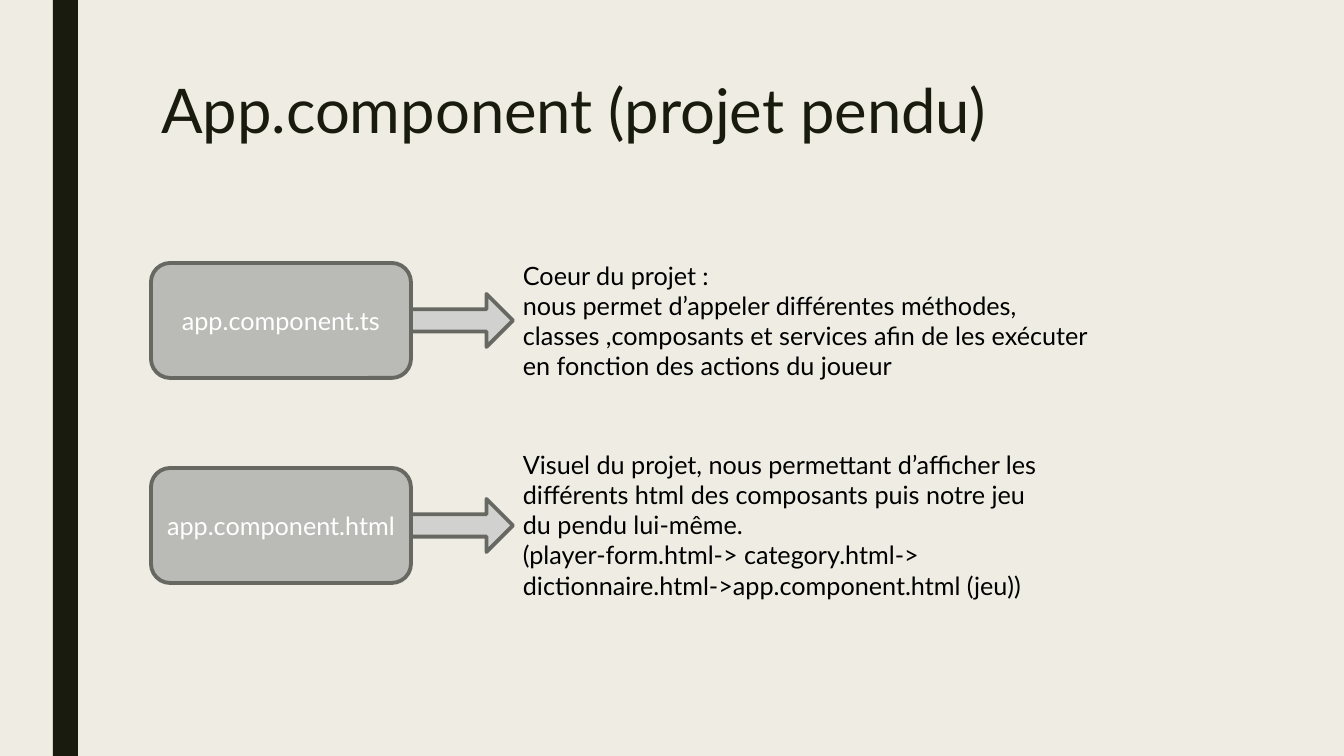
from pptx import Presentation
from pptx.dml.color import RGBColor
from pptx.enum.shapes import MSO_SHAPE
from pptx.enum.text import MSO_ANCHOR, MSO_AUTO_SIZE, PP_ALIGN
from pptx.util import Emu, Pt

FONT = "Lato"
COLORS = {
    "background": "EFEDE3",
    "dark": "191B0E",
    "box": "BABBB6",
    "arrow": "D1D1CF",
    "outline": "686863",
    "white": "FFFFFF",
    "black": "000000",
}
ROW_STEP = 205
# File name, then top, width, height and paragraphs of its description
ROWS = [
    ("app.component.ts", 255, 592, 132, [
        "Coeur du projet :\vnous permet d’appeler différentes méthodes, "
        "classes ,composants et services afin de les exécuter "
        "en fonction des actions du joueur",
    ]),
    ("app.component.html", 444, 556, 163, [
        "Visuel du projet, nous permettant d’afficher les différents html "
        "des composants puis notre jeu du pendu lui-même.",
        "(player-form.html-> category.html-> "
        "dictionnaire.html->app.component.html (jeu))",
    ]),
]


def px(n):
    return Emu(round(n * 914400 / 100.8))


def color(name):
    return RGBColor.from_string(COLORS[name])


def write(tf, paragraphs, size=18, fill="black", align=PP_ALIGN.LEFT,
          anchor=MSO_ANCHOR.TOP, wrap=True, spacing=None):
    tf.word_wrap = wrap
    tf.auto_size = MSO_AUTO_SIZE.NONE
    tf.vertical_anchor = anchor
    for i, text in enumerate(paragraphs):
        p = tf.add_paragraph() if i else tf.paragraphs[0]
        p.text = text
        p.alignment = align
        p.line_spacing = spacing
        for r in p.runs:
            r.font.name = FONT
            r.font.size = Pt(size)
            r.font.color.rgb = color(fill)


def add_block(s, kind, x, y, w, h, fill, line=None):
    sp = s.shapes.add_shape(kind, px(x), px(y), px(w), px(h))
    sp.shadow.inherit = False
    sp.fill.solid()
    sp.fill.fore_color.rgb = color(fill)
    if line:
        sp.line.color.rgb = color(line)
        sp.line.width = Pt(2.75)
    else:
        sp.line.fill.background()
    return sp


def add_title(s, text):
    sp = s.shapes.title
    sp.left, sp.top, sp.width, sp.height = px(151), px(76), px(1058), px(163)
    write(sp.text_frame, [text], size=44, fill="dark", spacing=0.89)


def add_file_box(s, y, name):
    sp = add_block(s, MSO_SHAPE.ROUNDED_RECTANGLE, 151, y, 260, 115,
                   "box", "outline")
    write(sp.text_frame, [name], fill="white", align=PP_ALIGN.CENTER,
          anchor=MSO_ANCHOR.MIDDLE, wrap=False)


def add_arrow(s, y):
    sp = add_block(s, MSO_SHAPE.RIGHT_ARROW, 411, y, 102, 53,
                   "arrow", "outline")
    sp.adjustments[0] = 0.42


def add_description(s, y, w, h, paragraphs):
    sp = s.shapes.add_textbox(px(513), px(y), px(w), px(h))
    write(sp.text_frame, paragraphs)


def main():
    prs = Presentation()
    prs.slide_width, prs.slide_height = px(1344), px(756)
    s = prs.slides.add_slide(prs.slide_layouts[5])
    s.background.fill.solid()
    s.background.fill.fore_color.rgb = color("background")

    add_block(s, MSO_SHAPE.RECTANGLE, 53, 0, 25, 756, "dark")
    add_title(s, "App.component (projet pendu)")
    for i, (name, y, w, h, paragraphs) in enumerate(ROWS):
        add_file_box(s, 263 + i * ROW_STEP, name)
        add_arrow(s, 294 + i * ROW_STEP)
        add_description(s, y, w, h, paragraphs)

    prs.save("out.pptx")


if __name__ == "__main__":
    main()
